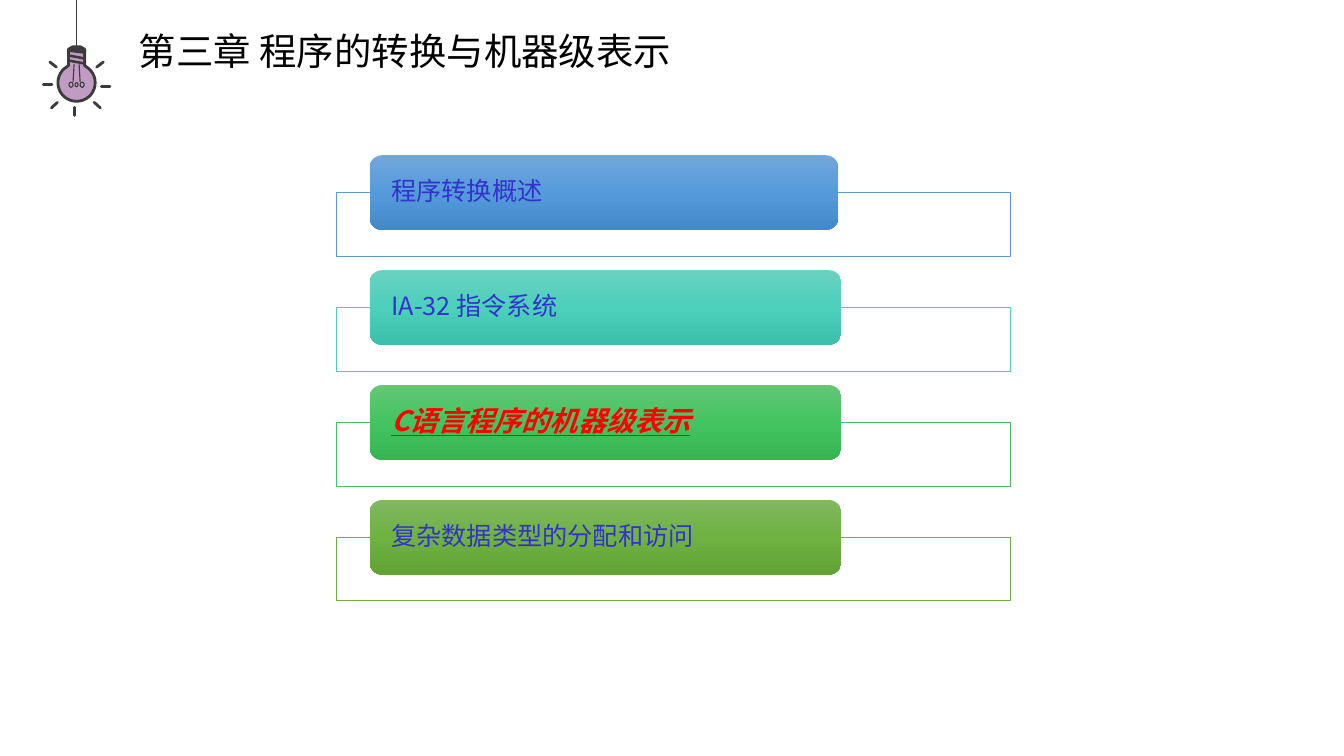
"""Build the chapter outline slide: a hanging bulb, a title and four topic bars."""
from dataclasses import dataclass
from math import cos, radians, sin

from lxml.etree import SubElement
from pptx import Presentation
from pptx.dml.color import RGBColor
from pptx.enum.shapes import MSO_CONNECTOR, MSO_SHAPE
from pptx.enum.text import MSO_ANCHOR, PP_ALIGN
from pptx.oxml.ns import qn
from pptx.util import Inches, Pt

SLIDE_W, SLIDE_H = Inches(13.33), Inches(7.5)
COL, ROW = SLIDE_W / 40, SLIDE_H / 50
UNIT = SLIDE_W / 1333
BULB_X, BULB_Y = 2.28 * COL, 5.47 * ROW
FIRST_ROW, PITCH = 10.27, 7.6
FONT = "Noto Sans CJK SC"

BLACK = RGBColor(0x00, 0x00, 0x00)
WHITE = RGBColor(0xFF, 0xFF, 0xFF)
INK = RGBColor(0x3B, 0x3B, 0x3B)
LILAC = RGBColor(0xC0, 0x9C, 0xC2)
BLUE = RGBColor(0x33, 0x33, 0xCC)
RED = RGBColor(0xFF, 0x00, 0x00)


@dataclass
class Topic:
    text: str
    edge: RGBColor
    shades: tuple[str, str, str]
    cols: float = 14.04
    current: bool = False


@dataclass
class Stroke:
    x1: float
    y1: float
    x2: float
    y2: float
    width: float


TOPICS = [
    Topic("程序转换概述", RGBColor(0x5B, 0x9B, 0xD5), ("71A6DB", "559BDB", "448ACA"), cols=13.95),
    Topic("IA-32 指令系统", RGBColor(0x52, 0xCA, 0xB8), ("6AD1C0", "4CD0BC", "3CC0AC")),
    Topic("C语言程序的机器级表示", RGBColor(0x49, 0xBF, 0x64), ("64C677", "44C460", "36B552"), current=True),
    Topic("复杂数据类型的分配和访问", RGBColor(0x70, 0xAD, 0x47), ("81B861", "6FB242", "62A336")),
]

STROKES = [
    Stroke(0, -33, 0, -82, 1),
    Stroke(-8, -27, 8, -24, 1.8),
    Stroke(-8, -22, 8, -19, 1.8),
    Stroke(-2.5, -18, -3.5, -1, 0.8),
    Stroke(2.5, -18, 3.5, -1, 0.8),
    Stroke(24.5, 3.5, 33, 3.5, 2),
    Stroke(-33, 2, -24.5, 2, 2),
    Stroke(-2, 24.5, -2, 32.5, 2),
    Stroke(-26.5, -20.5, -20, -15.5, 2),
    Stroke(20, -15.5, 26.5, -20.5, 2),
    Stroke(-19, 19.5, -25, 25, 2),
    Stroke(17.5, 19.5, 23.5, 25, 2),
]


def bulb_point(x: float, y: float) -> tuple[int, int]:
    return int(BULB_X + x * UNIT), int(BULB_Y + y * UNIT)


def add_outline(shapes, points: list[tuple[float, float]], fill: RGBColor) -> None:
    start, *rest = [bulb_point(x, y) for x, y in points]
    fb = shapes.build_freeform(*start)
    fb.add_line_segments(rest, close=True)
    sp = fb.convert_to_shape()
    sp.shadow.inherit = False
    sp.fill.solid()
    sp.fill.fore_color.rgb = fill
    sp.line.color.rgb = INK
    sp.line.width = Pt(2)


def add_stroke(shapes, stroke: Stroke) -> None:
    ends = bulb_point(stroke.x1, stroke.y1) + bulb_point(stroke.x2, stroke.y2)
    cx = shapes.add_connector(MSO_CONNECTOR.STRAIGHT, *ends)
    cx.line.color.rgb = INK
    cx.line.width = Pt(stroke.width)
    cx.line._get_or_add_ln().set("cap", "rnd")
    SubElement(cx._element.spPr, qn("a:effectLst"))


def add_bulb(shapes) -> None:
    glass = [(18.5 * cos(radians(a)), 18.5 * sin(radians(a))) for a in range(-60, 241, 10)]
    add_outline(shapes, glass + [(-8, -17), (-8, -33), (8, -33), (8, -17)], LILAC)
    add_outline(shapes, [(-8, -33), (-4, -35.5), (4, -35.5), (8, -33), (8, -30), (-8, -32)], INK)
    for x, w, h in ((-5.5, 4, 5), (0, 3, 4), (5.5, 4, 5)):
        left, top = bulb_point(x - w / 2, 2 - h / 2)
        sp = shapes.add_shape(MSO_SHAPE.OVAL, left, top, int(w * UNIT), int(h * UNIT))
        sp.shadow.inherit = False
        sp.fill.background()
        sp.line.color.rgb = INK
        sp.line.width = Pt(0.8)
    for stroke in STROKES:
        add_stroke(shapes, stroke)


def write(tf, text: str, size: float, color: RGBColor, strong: bool = False) -> None:
    tf.word_wrap = True
    p = tf.paragraphs[0]
    p.text = text
    p.alignment = PP_ALIGN.LEFT
    p.line_spacing = 0.9
    p.font.name = FONT
    p.font.size = Pt(size)
    p.font.color.rgb = color
    p.font.bold = p.font.italic = p.font.underline = strong
    SubElement(p._p.pPr.find(qn("a:defRPr")), qn("a:ea"), typeface=FONT)


def add_box(shapes, kind: MSO_SHAPE, col: float, row: float, cols: float, rows: float):
    sp = shapes.add_shape(kind, int(col * COL), int(row * ROW), int(cols * COL), int(rows * ROW))
    sp.shadow.inherit = False
    return sp


def shade(sp, colors: tuple[str, str, str]) -> None:
    sp.fill.gradient()
    sp.fill.gradient_angle = 270
    stops = sp._element.spPr.find(qn("a:gradFill")).find(qn("a:gsLst"))
    for stop in list(stops):
        stops.remove(stop)
    for i, color in enumerate(colors):
        stop = SubElement(stops, qn("a:gs"), pos=str(i * 50000))
        SubElement(stop, qn("a:srgbClr"), val=color)


def add_topic(shapes, topic: Topic, row: float) -> None:
    frame = add_box(shapes, MSO_SHAPE.RECTANGLE, 10, row + 2.47, 20.07, 4.2)
    frame.fill.solid()
    frame.fill.fore_color.rgb = WHITE
    frame.line.color.rgb = topic.edge
    frame.line.width = Pt(0.5)

    bar = add_box(shapes, MSO_SHAPE.ROUNDED_RECTANGLE, 11, row, topic.cols, 4.93)
    shade(bar, topic.shades)
    bar.line.fill.background()
    tf = bar.text_frame
    tf.vertical_anchor = MSO_ANCHOR.MIDDLE
    tf.margin_left = tf.margin_right = Inches(0.18)
    tf.margin_top = tf.margin_bottom = 0
    write(tf, topic.text, 20 if topic.current else 18, RED if topic.current else BLUE, topic.current)


def main() -> None:
    prs = Presentation()
    prs.slide_width, prs.slide_height = SLIDE_W, SLIDE_H
    shapes = prs.slides.add_slide(prs.slide_layouts[6]).shapes
    add_bulb(shapes)
    title = shapes.add_textbox(int(3.84 * COL), int(1.87 * ROW), int(35.05 * COL), int(4.87 * ROW))
    write(title.text_frame, "第三章 程序的转换与机器级表示", 26.7, BLACK)
    for i, topic in enumerate(TOPICS):
        add_topic(shapes, topic, FIRST_ROW + i * PITCH)
    prs.save("out.pptx")


if __name__ == "__main__":
    main()
